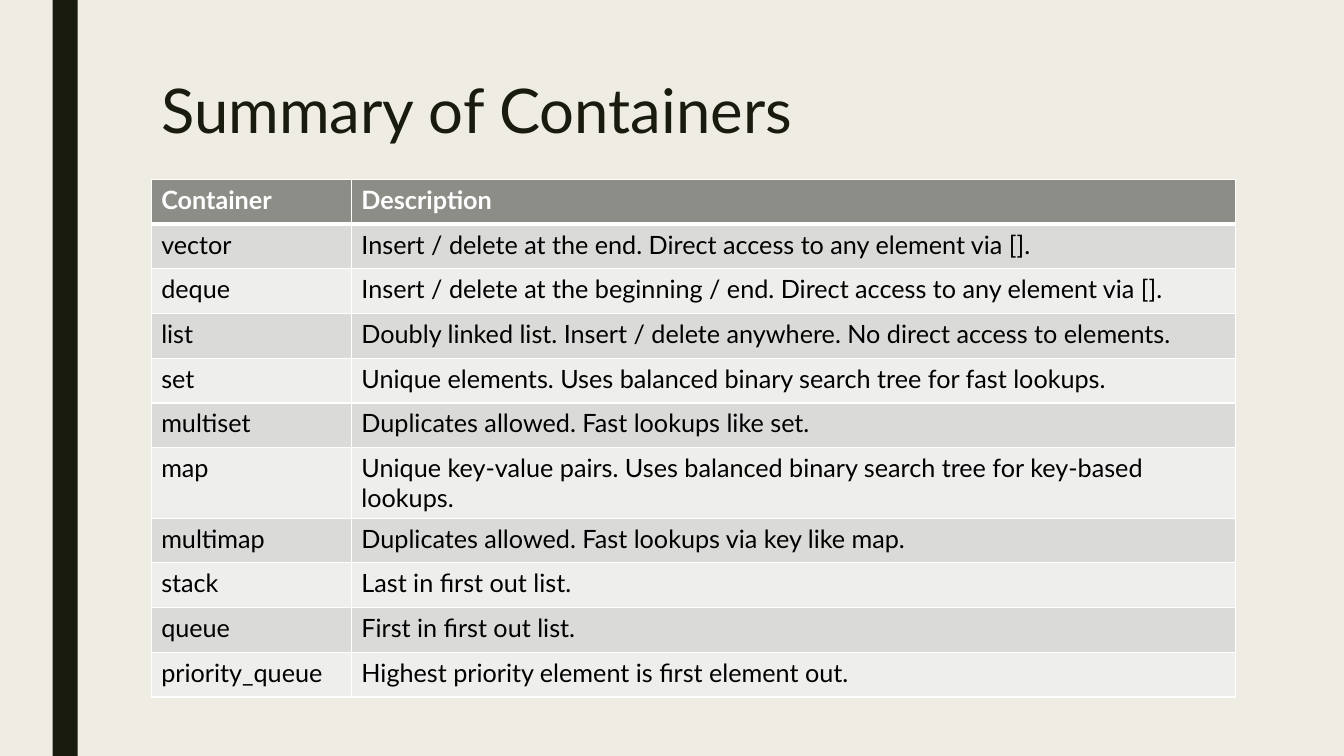
from pptx import Presentation
from pptx import util as u
from pptx.dml.color import RGBColor
from pptx.enum import shapes, text
from pptx.oxml import parse_xml
from pptx.oxml.ns import nsdecls

Pt = u.Pt
FONT = "Lato"
HUES = {
    "page": "EFEDE3",
    "dark": "191B0E",
    "head": "8C8D86",
    "odd": "DADBD9",
    "even": "EEEEED",
    "white": "FFFFFF",
    "black": "000000",
}
ROWS = [
    ("Container", "Description"),
    ("vector", "Insert / delete at the end. Direct access to any element via []."),
    ("deque", "Insert / delete at the beginning / end. Direct access to any element via []."),
    ("list", "Doubly linked list. Insert / delete anywhere. No direct access to elements."),
    ("set", "Unique elements. Uses balanced binary search tree for fast lookups."),
    ("multiset", "Duplicates allowed. Fast lookups like set."),
    ("map", "Unique key-value pairs. Uses balanced binary search tree for key-based lookups."),
    ("multimap", "Duplicates allowed. Fast lookups via key like map."),
    ("stack", "Last in first out list."),
    ("queue", "First in first out list."),
    ("priority_queue", "Highest priority element is first element out."),
]


def paint(fill, hue):
    fill.solid()
    fill.fore_color.rgb = RGBColor.from_string(HUES[hue])


def write(frame, words, size=18, hue="black", bold=False, space=None):
    para = frame.paragraphs[0]
    para.alignment = text.PP_ALIGN.LEFT
    para.line_spacing = space
    run = para.add_run()
    run.text = words
    font = run.font
    font.name, font.size, font.bold = FONT, Pt(size), bold
    font.color.rgb = RGBColor.from_string(HUES[hue])


def edge(cell, side, width):
    line = parse_xml(
        f'<a:ln{side} {nsdecls("a")} w="{Pt(width)}"><a:solidFill>'
        f'<a:srgbClr val="{HUES["white"]}"/></a:solidFill></a:ln{side}>'
    )
    cell._tc.get_or_add_tcPr().append(line)


def add_bar(slide):
    bar = slide.shapes.add_shape(
        shapes.MSO_SHAPE.RECTANGLE, Pt(37.5), Pt(0), Pt(18), Pt(540))
    bar.shadow.inherit = False
    paint(bar.fill, "dark")
    bar.line.fill.background()


def add_title(slide, words):
    title = slide.shapes.title
    title.left, title.top, title.width, title.height = Pt(108), Pt(54), Pt(756), Pt(57.6)
    frame = title.text_frame
    frame.vertical_anchor = text.MSO_ANCHOR.TOP
    frame.auto_size = text.MSO_AUTO_SIZE.NONE
    write(frame, words, size=44, hue="dark", space=0.89)


def add_grid(slide, rows):
    widths = (143, 631.5)
    high = 31.94
    grid = slide.shapes.add_table(
        len(rows), len(widths), Pt(108), Pt(128.2),
        Pt(sum(widths)), Pt(high * len(rows))).table
    for col, width in zip(grid.columns, widths):
        col.width = Pt(width)
    for i, row in enumerate(rows):
        grid.rows[i].height = Pt(high)
        head = i == 0
        fill = "head" if head else "odd" if i % 2 else "even"
        for j, words in enumerate(row):
            cell = grid.cell(i, j)
            for side in "LRTB":
                thick = (head and side == "B") or (i == 1 and side == "T")
                edge(cell, side, 3 if thick else 1)
            paint(cell.fill, fill)
            write(cell.text_frame, words, hue="white" if head else "black", bold=head)


def main():
    deck = Presentation()
    deck.slide_width, deck.slide_height = Pt(960), Pt(540)
    slide = deck.slides.add_slide(deck.slide_layouts[5])
    paint(slide.background.fill, "page")
    add_bar(slide)
    add_title(slide, "Summary of Containers")
    add_grid(slide, ROWS)
    deck.save("out.pptx")


if __name__ == "__main__":
    main()
